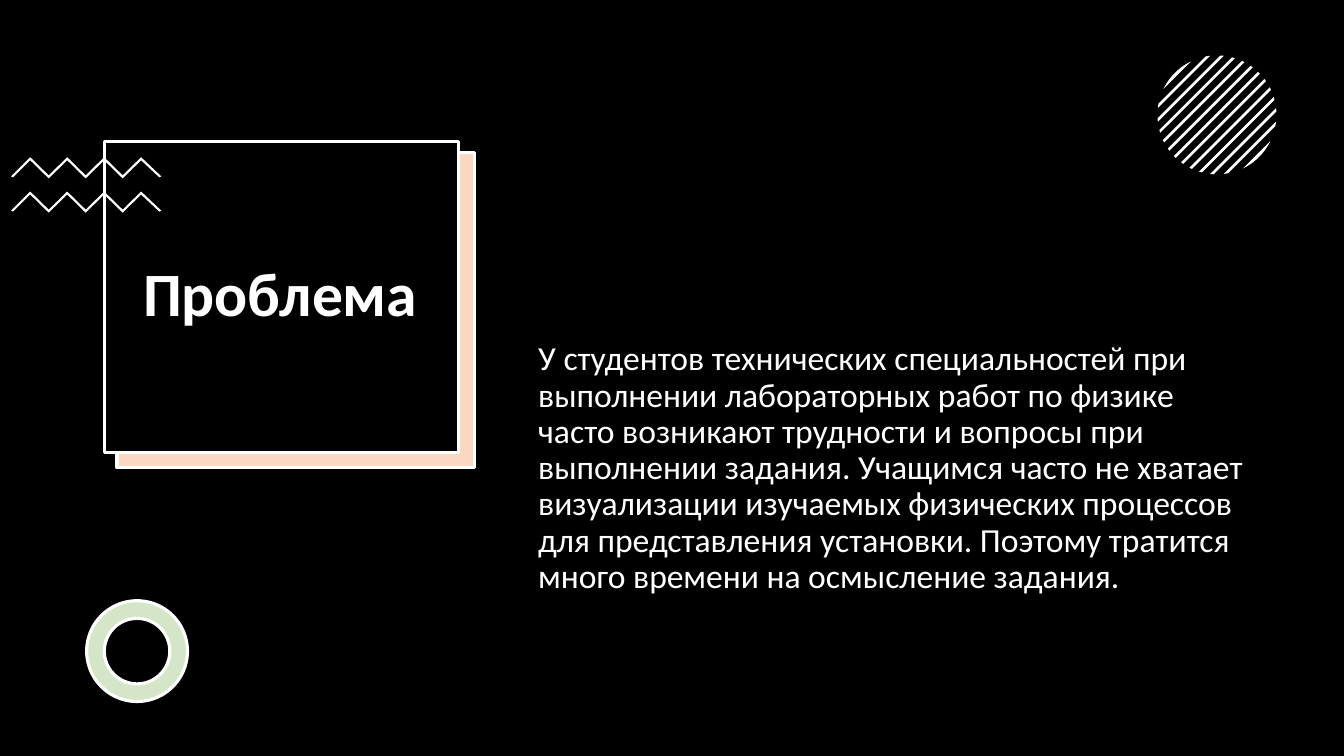
import math

from pptx import Presentation
from pptx import util as u
from pptx.dml.color import RGBColor
from pptx.enum import shapes, text

PX = 9144  # 100 px to the inch
BLACK = RGBColor(0x00, 0x00, 0x00)
WHITE = RGBColor(0xFF, 0xFF, 0xFF)
PEACH = RGBColor(0xFA, 0xD8, 0xC1)
GREEN = RGBColor(0xD4, 0xE6, 0xC7)

presentation = Presentation()
presentation.slide_width = 1333 * PX
presentation.slide_height = 750 * PX
slide = presentation.slides.add_slide(presentation.slide_layouts[5])
slide.background.fill.solid()
slide.background.fill.fore_color.rgb = BLACK


def add_white_outline(points):
    """Draw a closed white polygon through points given in px."""
    corners = [(round(x * PX), round(y * PX)) for x, y in points]
    builder = slide.shapes.build_freeform(*corners[0], scale=1.0)
    builder.add_line_segments(corners[1:], close=True)
    shape = builder.convert_to_shape()
    shape.shadow.inherit = False
    shape.fill.solid()
    shape.fill.fore_color.rgb = WHITE
    shape.line.fill.background()


def write(frame, wording, size, bold, alignment, space_before):
    frame.word_wrap = True
    frame.auto_size = text.MSO_AUTO_SIZE.NONE
    frame.vertical_anchor = text.MSO_ANCHOR.MIDDLE
    paragraph = frame.paragraphs[0]
    paragraph.alignment = alignment
    paragraph.line_spacing = 0.9
    paragraph.space_before = u.Pt(space_before)
    run = paragraph.add_run()
    run.text = wording
    run.font.name = "Calibri"
    run.font.size = u.Pt(size)
    run.font.bold = bold
    run.font.color.rgb = WHITE


# Title card with its offset backing, and the ring
RECTANGLE, DONUT = shapes.MSO_SHAPE.RECTANGLE, shapes.MSO_SHAPE.DONUT
for kind, left, top, width, height, color in [
    (RECTANGLE, 116, 151, 355, 313, PEACH),
    (RECTANGLE, 104, 140, 351, 309, BLACK),
    (DONUT, 86, 596, 100, 100, GREEN),
]:
    shape = slide.shapes.add_shape(kind, left * PX, top * PX, width * PX, height * PX)
    shape.shadow.inherit = False
    shape.fill.solid()
    shape.fill.fore_color.rgb = color
    shape.line.color.rgb = WHITE
    shape.line.width = u.Pt(2.25)
    if kind == DONUT:
        shape.adjustments[0] = 0.175

# Two zigzags
for top in (156, 190):
    ridge = [(30 + 110 * i / 6, top + 18 * (i % 2)) for i in range(7)]
    underside = [(x, y + 3) for x, y in reversed(ridge)]
    add_white_outline(
        [(11, top + 19), *ridge, (160, top + 19), (158, top + 20), *underside, (13, top + 20)]
    )

# Circle cut into diagonal stripes
CENTER_X, CENTER_Y, RADIUS = 1207, 114, 59
STRIPE_STEP, HALF_STRIPE, ARC_STEPS = 9.5, 1.3, 6
for index in range(-6, 7):
    near = index * STRIPE_STEP - HALF_STRIPE
    far = index * STRIPE_STEP + HALF_STRIPE
    if index == -6:
        near = -RADIUS
    if index == 6:
        far = RADIUS
    start, end = math.acos(near / RADIUS), math.acos(far / RADIUS)
    angles = [start + (end - start) * i / ARC_STEPS for i in range(ARC_STEPS + 1)]
    turns = angles + [-angle for angle in reversed(angles)]
    add_white_outline(
        [
            (
                CENTER_X + RADIUS * math.cos(math.pi / 4 + turn),
                CENTER_Y + RADIUS * math.sin(math.pi / 4 + turn),
            )
            for turn in turns
        ]
    )

# Title, brought in front of its card
title = slide.shapes.title
title.left, title.top, title.width, title.height = 103 * PX, 140 * PX, 350 * PX, 309 * PX
write(title.text_frame, "Проблема", 44, True, text.PP_ALIGN.CENTER, 0)
slide.shapes._spTree.append(title._element)

body = slide.shapes.add_textbox(524 * PX, 303 * PX, 727 * PX, 324 * PX)
write(
    body.text_frame,
    "У студентов технических специальностей при выполнении лабораторных работ по физике "
    "часто возникают трудности и вопросы при выполнении задания. Учащимся часто не хватает "
    "визуализации изучаемых физических процессов для представления установки. "
    "Поэтому тратится много времени на осмысление задания.",
    24, False, text.PP_ALIGN.LEFT, 10,
)

presentation.save("out.pptx")
